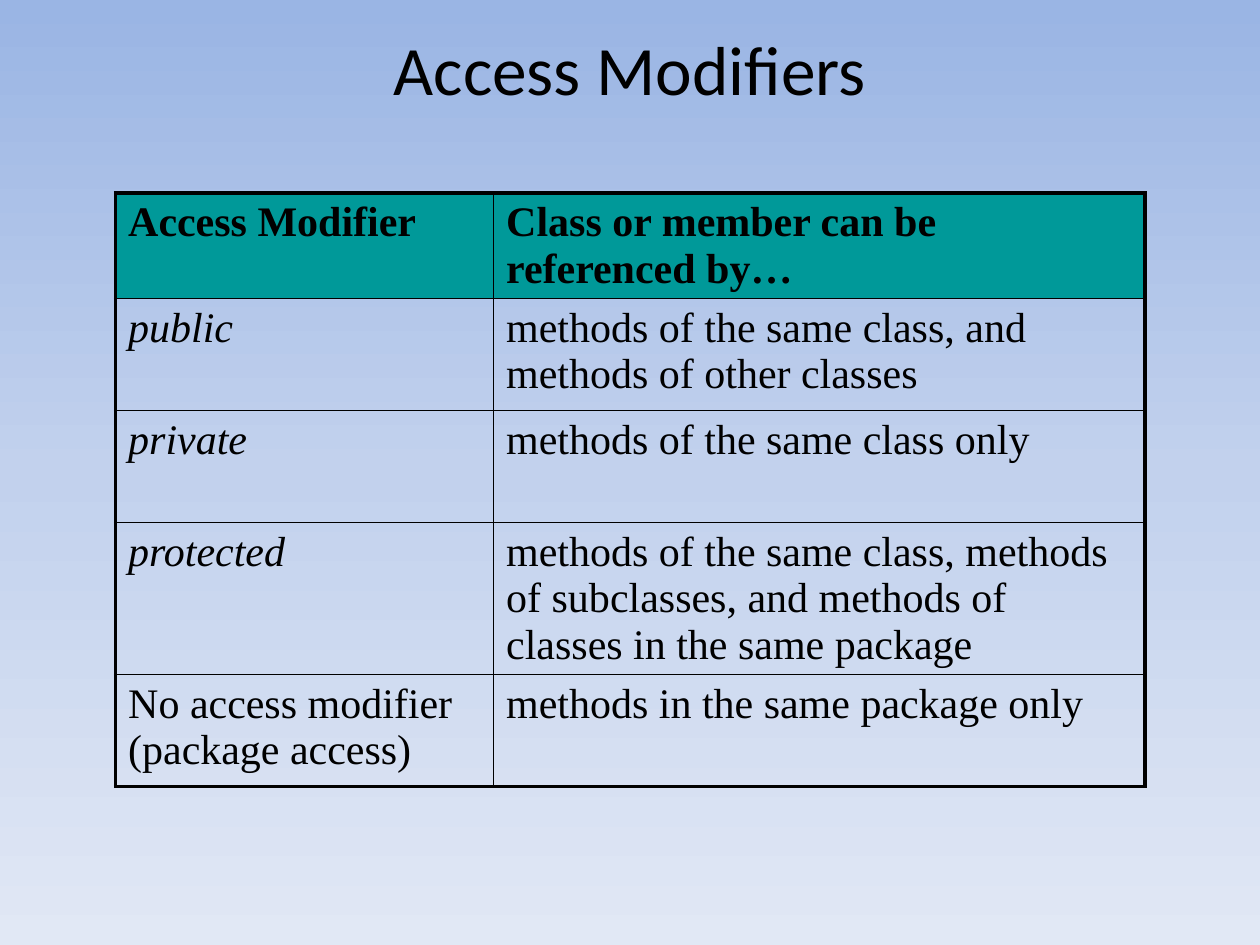
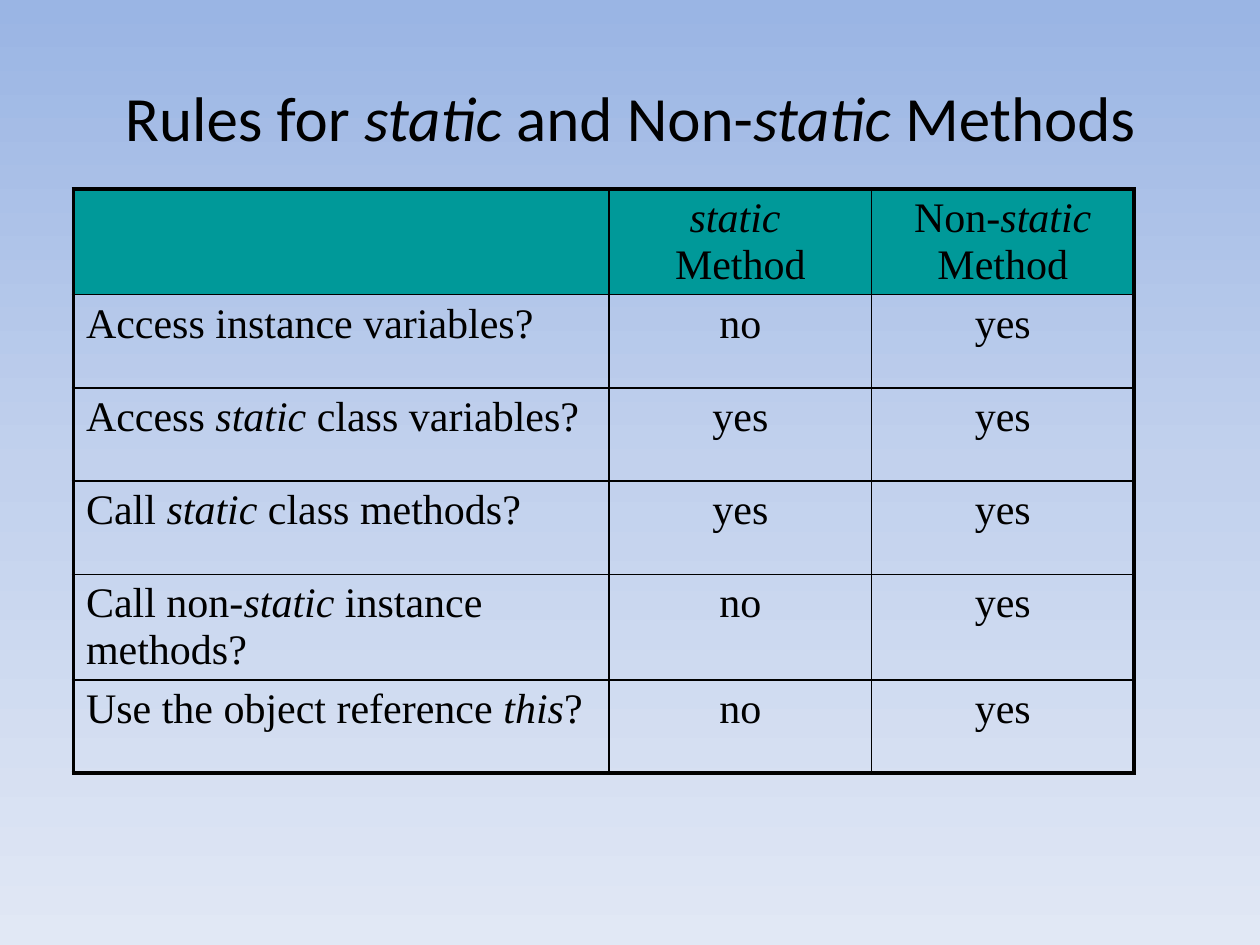
from copy import deepcopy

from lxml import etree
from pptx import Presentation
from pptx.dml.color import RGBColor
from pptx.enum import text
from pptx.oxml.ns import qn
from pptx.util import Cm, Pt

BLACK = "000000"
TEAL = "009999"
BACKDROP = [(0, "9AB5E4"), (0.5, "C2D1ED"), (1, "E1E8F5")]
LEFT, CENTER = text.PP_ALIGN.LEFT, text.PP_ALIGN.CENTER


def colour(value):
    return RGBColor.from_string(value)


def write(frame, content, *, font, size, bold=False, align=LEFT):
    """Fill the frame; words between asterisks are italic, a newline breaks the line."""
    paragraph = frame.paragraphs[0]
    paragraph.alignment = align
    for part_no, part in enumerate(content.split("*")):
        for line_no, line in enumerate(part.split("\n")):
            if line_no:
                paragraph.add_line_break()
            if line:
                run = paragraph.add_run()
                run.text = line
                run.font.name = font
                run.font.size = Pt(size)
                run.font.bold = bold
                run.font.italic = part_no % 2 == 1
                run.font.color.rgb = colour(BLACK)


def draw_borders(cell, widths):
    """Draw left, right, top and bottom borders, widths in points."""
    properties = cell._tc.get_or_add_tcPr()
    for order, (side, width) in enumerate(zip("LRTB", widths)):
        line = etree.Element(qn(f"a:ln{side}"), w=str(Pt(width)))
        solid = etree.SubElement(line, qn("a:solidFill"))
        etree.SubElement(solid, qn("a:srgbClr"), val=BLACK)
        properties.insert(order, line)


class Deck:
    title_font = "Calibri"
    table_font = "Times New Roman"
    table_size = 24
    outer, inner = 2.25, 1

    def __init__(self):
        self.presentation = Presentation()
        self.presentation.slide_width = Cm(25.4)
        self.presentation.slide_height = Cm(19.05)
        self.slide = None
        self.paint_background()

    def paint_background(self):
        master = self.presentation.slide_master
        fill = master.background.fill
        fill.gradient()
        fill.gradient_angle = 270
        stop_list = master.element.find(".//" + qn("a:gsLst"))
        stop_list.append(deepcopy(stop_list[0]))
        for stop, (position, shade) in zip(fill.gradient_stops, BACKDROP):
            stop.position = position
            stop.color.rgb = colour(shade)

    def add_slide(self):
        title_only = self.presentation.slide_layouts[5]
        self.slide = self.presentation.slides.add_slide(title_only)

    def title(self, content, left, top, width, height, size):
        heading = self.slide.shapes.title
        heading.left, heading.top = Cm(left), Cm(top)
        heading.width, heading.height = Cm(width), Cm(height)
        frame = heading.text_frame
        frame.auto_size = text.MSO_AUTO_SIZE.NONE
        frame.vertical_anchor = text.MSO_ANCHOR.MIDDLE
        write(frame, content, font=self.title_font, size=size, align=CENTER)

    def table(self, rows, left, top, widths, heights, aligns, bold_header=False):
        grid = self.slide.shapes.add_table(
            len(rows), len(widths), Cm(left), Cm(top),
            Cm(sum(widths)), Cm(sum(heights))).table
        grid.first_row = grid.horz_banding = False
        for column, width in zip(grid.columns, widths):
            column.width = Cm(width)
        for row, height in zip(grid.rows, heights):
            row.height = Cm(height)
        last_row, last_column = len(rows) - 1, len(widths) - 1
        for r, entries in enumerate(rows):
            for c, entry in enumerate(entries):
                cell = grid.cell(r, c)
                if r == 0:
                    cell.fill.solid()
                    cell.fill.fore_color.rgb = colour(TEAL)
                else:
                    cell.fill.background()
                edges = (c == 0, c == last_column, r == 0, r == last_row)
                draw_borders(cell, [self.outer if edge else self.inner
                                    for edge in edges])
                write(cell.text_frame, entry, font=self.table_font,
                      size=self.table_size, align=aligns[c],
                      bold=bold_header and r == 0)


def main():
    deck = Deck()

    deck.add_slide()
    deck.title("Access Modifiers", 1.9, 0.42, 21.6, 1.9, size=39.6)
    access_rules = [
        ("Access Modifier", "Class or member can be referenced by…"),
        ("*public*", "methods of the same class, and methods of other classes"),
        ("*private*", "methods of the same class only"),
        ("*protected*", "methods of the same class, methods of subclasses, "
                        "and methods of classes in the same package"),
        ("No access modifier (package access)",
         "methods in the same package only"),
    ]
    deck.table(access_rules, 2.33, 3.89, widths=[7.62, 13.13],
               heights=[1.63] + [2.26] * 4, aligns=[LEFT, LEFT],
               bold_header=True)

    deck.add_slide()
    deck.title("Rules for *static* and Non-*static* Methods",
               1.27, 0.76, 22.86, 3.18, size=36)
    method_rules = [
        ("", "*static *\nMethod", "Non-*static *Method"),
        ("Access instance variables?", "no", "yes"),
        ("Access *static* class variables?", "yes", "yes"),
        ("Call *static* class methods?", "yes", "yes"),
        ("Call non-*static* instance methods?", "no", "yes"),
        ("Use the object reference *this*?", "no", "yes"),
    ]
    deck.table(method_rules, 1.48, 3.81, widths=[10.8, 5.29, 5.29],
               heights=[1.88] * len(method_rules),
               aligns=[LEFT, CENTER, CENTER])

    deck.presentation.save("out.pptx")


if __name__ == "__main__":
    main()
